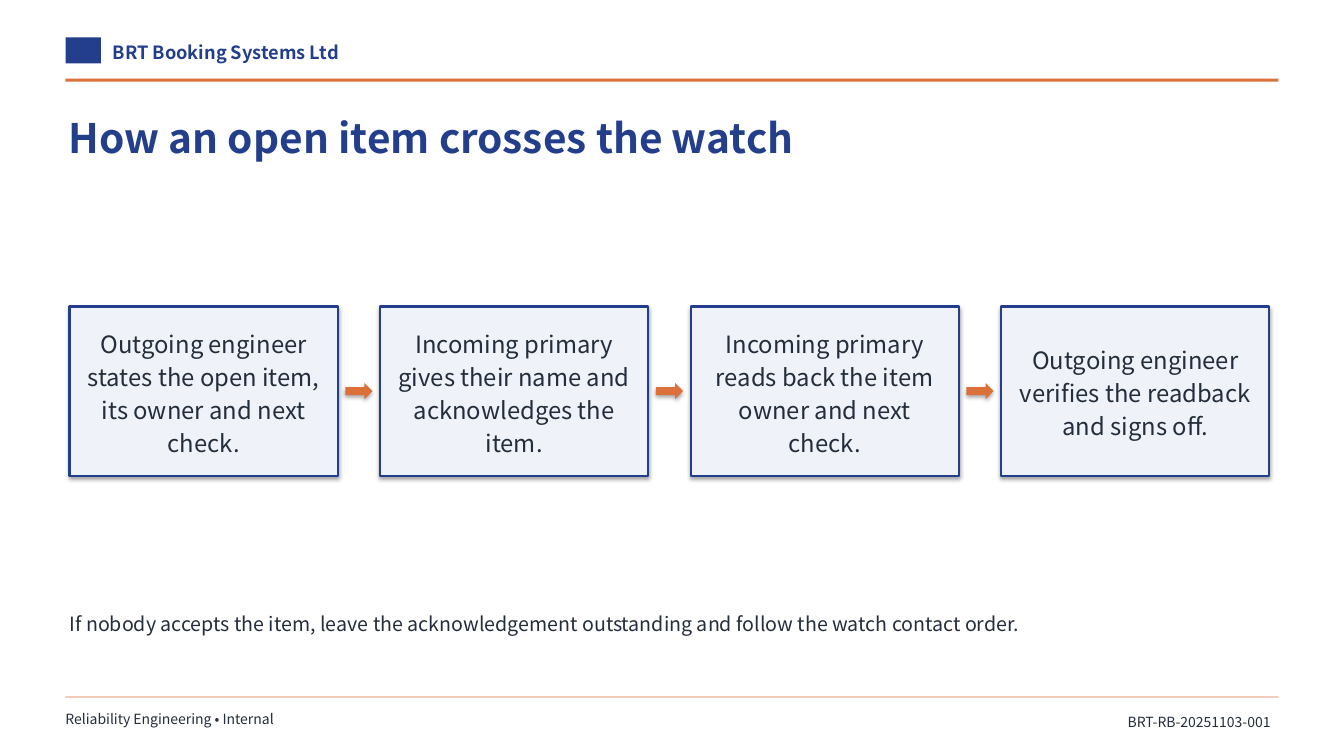
import pptx
import pptx.dml.color
import pptx.enum.shapes
import pptx.enum.text
import pptx.oxml
import pptx.oxml.ns
import pptx.util

Inches, Pt = pptx.util.Inches, pptx.util.Pt
SHAPE = pptx.enum.shapes.MSO_SHAPE
ALIGN = pptx.enum.text.PP_ALIGN
ANCHOR = pptx.enum.text.MSO_ANCHOR


def color(value):
    return pptx.dml.color.RGBColor.from_string(value)


class SlideBuilder:
    FONT = "Noto Sans CJK JP"
    NAVY, ORANGE, INK, PALE = "233E8B", "DB703A", "242D3B", "EFF2F9"

    def __init__(self, slide):
        self.slide = slide

    def shape(self, kind, x, y, w, h, fill, line=None, shadow=False):
        sp = self.slide.shapes.add_shape(kind, Inches(x), Inches(y), Inches(w), Inches(h))
        sp.shadow.inherit = False
        sp.fill.solid()
        sp.fill.fore_color.rgb = color(fill)
        if line:
            sp.line.color.rgb = color(line)
            sp.line.width = Pt(1.6)
        else:
            sp.line.fill.background()
        if shadow:
            self.add_shadow(sp)
        return sp

    def add_shadow(self, sp):
        effects = sp._element.spPr.find(pptx.oxml.ns.qn("a:effectLst"))
        effects.append(pptx.oxml.parse_xml(
            f'<a:outerShdw {pptx.oxml.ns.nsdecls("a")} blurRad="{Pt(3.1)}" dist="{Pt(1.8)}"'
            ' dir="5400000" rotWithShape="0"><a:srgbClr val="000000">'
            '<a:alpha val="35000"/></a:srgbClr></a:outerShdw>'))

    def set_text(self, sp, text, size, ink=INK, bold=False, align=ALIGN.LEFT,
                 anchor=ANCHOR.TOP, inset=(0, 0.03), spacing=1.1):
        tf = sp.text_frame
        tf.word_wrap = True
        tf.vertical_anchor = anchor
        tf.margin_left = tf.margin_right = Inches(inset[0])
        tf.margin_top = tf.margin_bottom = Inches(inset[1])
        p = tf.paragraphs[0]
        p.text = text
        p.alignment = align
        p.line_spacing = spacing
        p.font.name = self.FONT
        p.font.size = Pt(size)
        p.font.bold = bold
        p.font.color.rgb = color(ink)

    def text(self, x, y, w, h, text, size, **style):
        sp = self.slide.shapes.add_textbox(Inches(x), Inches(y), Inches(w), Inches(h))
        self.set_text(sp, text, size, **style)

    def step(self, x, y, w, h, text):
        sp = self.shape(SHAPE.RECTANGLE, x, y, w, h, self.PALE, self.NAVY, shadow=True)
        self.set_text(sp, text, 17, align=ALIGN.CENTER, anchor=ANCHOR.MIDDLE,
                      inset=(0.16, 0.05), spacing=1.15)

    def arrow(self, x, y, w, h):
        self.shape(SHAPE.RIGHT_ARROW, x, y, w, h, self.ORANGE, shadow=True)

    def rule(self, y, h):
        self.shape(SHAPE.RECTANGLE, 0.65, y, 12.03, h, self.ORANGE)


def main():
    prs = pptx.Presentation()
    prs.slide_width, prs.slide_height = Inches(13.33), Inches(7.5)
    s = SlideBuilder(prs.slides.add_slide(prs.slide_layouts[6]))

    # Header with a plain brand mark
    s.shape(SHAPE.RECTANGLE, 0.65, 0.37, 0.35, 0.26, s.NAVY)
    s.text(1.12, 0.36, 6.5, 0.33, "BRT Booking Systems Ltd", 13, ink=s.NAVY, bold=True)
    s.rule(0.78, 0.03)

    # Title
    s.text(0.68, 1.04, 11.9, 0.7, "How an open item crosses the watch", 29,
           ink=s.NAVY, bold=True)

    # Handover steps, with an arrow centred in each gap
    steps = [
        "Outgoing engineer states the open item, its owner and next check.",
        "Incoming primary gives their name and acknowledges the item.",
        "Incoming primary reads back the item owner and next check.",
        "Outgoing engineer verifies the readback and signs off.",
    ]
    left, top, width, height, gap = 0.69, 3.04, 2.66, 1.68, 0.42
    arrow_w, arrow_h = 0.27, 0.16
    for i, step in enumerate(steps):
        x = left + i * (width + gap)
        if i:
            s.arrow(x - (gap + arrow_w) / 2, top + (height - arrow_h) / 2, arrow_w, arrow_h)
        s.step(x, top, width, height, step)

    # Fallback note
    s.text(0.69, 6.02, 11.9, 0.56, "If nobody accepts the item, leave the acknowledgement "
           "outstanding and follow the watch contact order.", 14)

    # Footer
    s.rule(6.91, 0.01)
    s.text(0.65, 7, 8.9, 0.32, "Reliability Engineering • Internal", 10)
    s.text(10.38, 7, 2.3, 0.32, "BRT-RB-20251103-001", 10, align=ALIGN.RIGHT,
           anchor=ANCHOR.MIDDLE, inset=(0.08, 0), spacing=1.0)

    prs.save("out.pptx")


if __name__ == "__main__":
    main()
